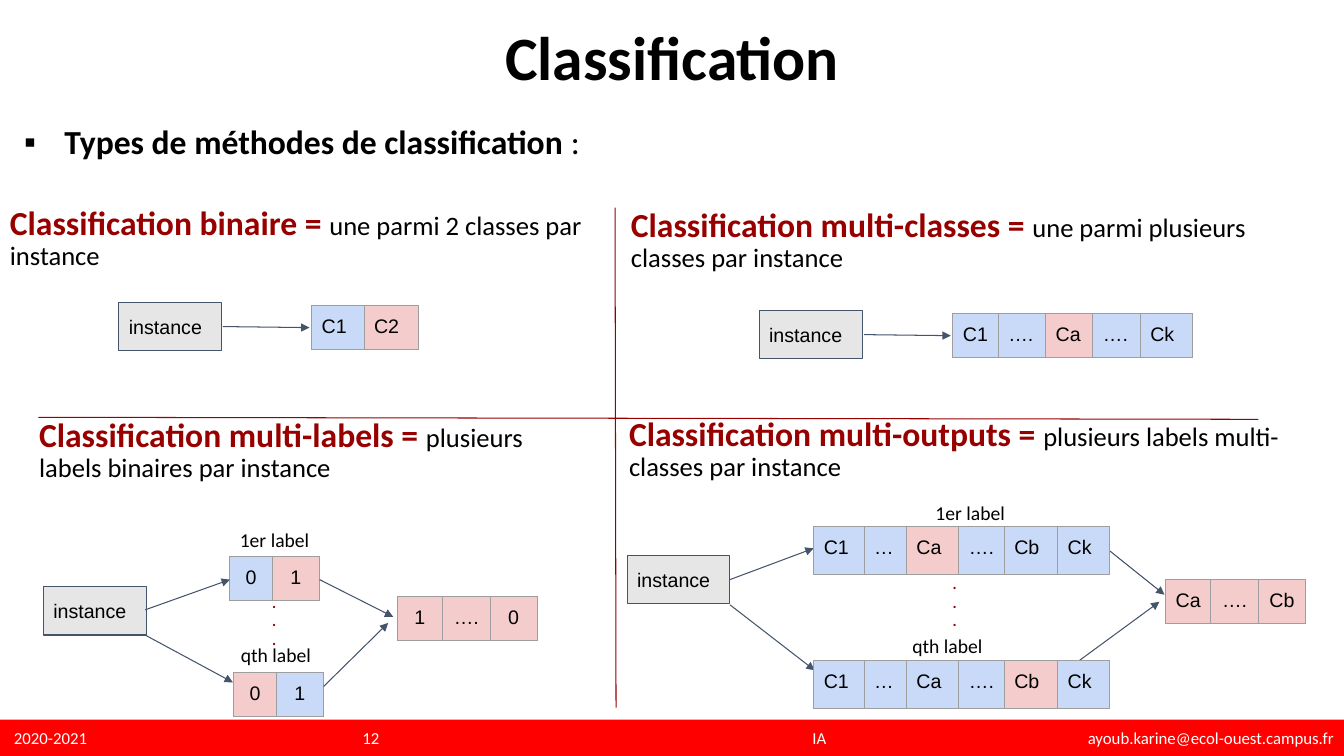
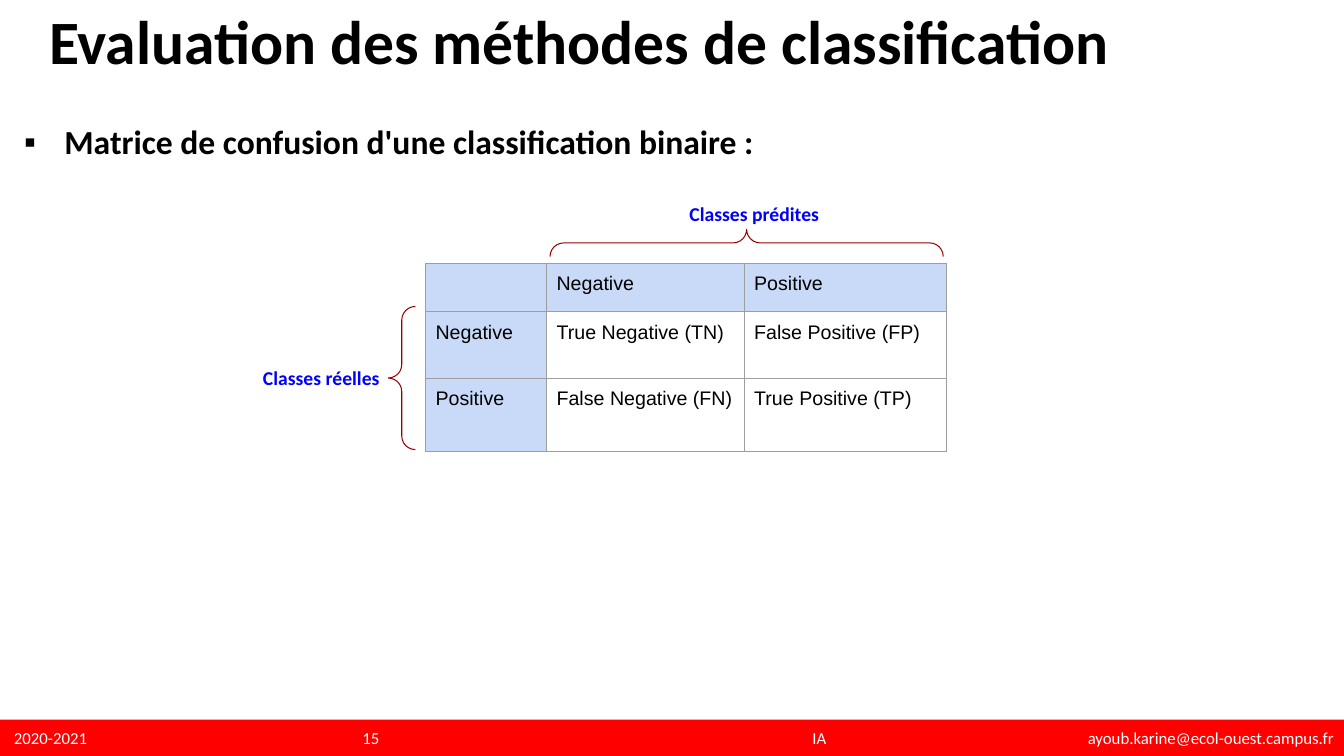
from lxml import etree
from pptx import Presentation
from pptx.dml.color import RGBColor
from pptx.enum.shapes import MSO_CONNECTOR, MSO_SHAPE
from pptx.enum.text import MSO_ANCHOR, PP_ALIGN
from pptx.oxml.ns import qn
from pptx.util import Inches, Pt

LEFT, CENTER, RIGHT = PP_ALIGN.LEFT, PP_ALIGN.CENTER, PP_ALIGN.RIGHT
TOP, MIDDLE = MSO_ANCHOR.TOP, MSO_ANCHOR.MIDDLE
RECTANGLE, BRACE = MSO_SHAPE.RECTANGLE, MSO_SHAPE.LEFT_BRACE
STRAIGHT = MSO_CONNECTOR.STRAIGHT

COLORS = {
    "black": "000000", "white": "FFFFFF", "band": "FF0000",
    "accent": "980000", "label": "0000FF", "arrow": "44546A",
    "instance": "E7E6E6", "border": "9E9E9E",
    "plain": "C9DAF8", "chosen": "F4CCCC",
}
HEADING_FONT, CELL_FONT = "Calibri", "Arial"
LINE_WIDTH = Pt(0.75)
ROW_HEIGHT = 0.42
TRIPLE = (0.45, 0.47, 0.47)
SEXTUPLE = (0.5, 0.42, 0.52, 0.45, 0.53, 0.51)
CLASSES = ("C1", "…", "Ca", "….", "Cb", "Ck")


def rgb(name):
    return RGBColor.from_string(COLORS[name])


def inches(values):
    return [Inches(value) for value in values]


def format_span(span, size, color="black", bold=False, font=HEADING_FONT):
    span.font.name = font
    span.font.size = Pt(size)
    span.font.bold = bold
    span.font.color.rgb = rgb(color)


def set_margins(frame, vertical):
    frame.margin_left = frame.margin_right = Inches(0.1)
    frame.margin_top = frame.margin_bottom = Inches(vertical)


def add_text(page, area, lines, align=LEFT, anchor=TOP, margin=0.1, spacing=None):
    box = page.shapes.add_textbox(*inches(area))
    frame = box.text_frame
    frame.word_wrap = True
    frame.vertical_anchor = anchor
    set_margins(frame, margin)
    for index, line in enumerate(lines):
        para = frame.add_paragraph() if index else frame.paragraphs[0]
        para.alignment = align
        if spacing:
            para.line_spacing = spacing
        for text, *style in line:
            span = para.add_run()
            span.text = text
            format_span(span, *style)
    return box


def add_shape(page, kind, area, fill=None, line=None):
    shape = page.shapes.add_shape(kind, *inches(area))
    shape.shadow.inherit = False
    if fill:
        shape.fill.solid()
        shape.fill.fore_color.rgb = rgb(fill)
    else:
        shape.fill.background()
    if line:
        shape.line.color.rgb = rgb(line)
        shape.line.width = LINE_WIDTH
    else:
        shape.line.fill.background()
    return shape


def add_line(page, start, end, color="arrow", arrow=True):
    line = page.shapes.add_connector(STRAIGHT, *inches(start + end))
    line.line.color.rgb = rgb(color)
    line.line.width = LINE_WIDTH
    if arrow:
        etree.SubElement(line.line._get_or_add_ln(), qn("a:tailEnd"), type="triangle")
    etree.SubElement(line._element.spPr, qn("a:effectLst"))


def add_borders(cell):
    properties = cell._tc.get_or_add_tcPr()
    for side in ("lnL", "lnR", "lnT", "lnB"):
        line = etree.SubElement(properties, qn(f"a:{side}"), w=str(LINE_WIDTH))
        fill = etree.SubElement(line, qn("a:solidFill"))
        etree.SubElement(fill, qn("a:srgbClr"), val=COLORS["border"])


def add_grid(page, corner, widths, heights, texts, fill_of, align=LEFT):
    area = (*corner, sum(widths), sum(heights))
    table = page.shapes.add_table(len(heights), len(widths), *inches(area)).table
    table.first_row = table.horz_banding = False
    for column, width in zip(table.columns, widths):
        column.width = Inches(width)
    for row, height in zip(table.rows, heights):
        row.height = Inches(height)
    for row_index, row in enumerate(texts):
        for column_index, text in enumerate(row):
            cell = table.cell(row_index, column_index)
            set_margins(cell, 0.1)
            add_borders(cell)
            fill = fill_of(row_index, column_index)
            if fill:
                cell.fill.solid()
                cell.fill.fore_color.rgb = rgb(fill)
            else:
                cell.fill.background()
            para = cell.text_frame.paragraphs[0]
            para.text = text
            para.alignment = align
            para.font.size = Pt(14)
            for span in para.runs:
                format_span(span, 14, font=CELL_FONT)


def add_vector(page, corner, widths, texts, chosen, align=LEFT, height=ROW_HEIGHT):
    add_grid(page, corner, widths, [height], [texts],
             lambda row, column: "chosen" if column in chosen else "plain", align)


def add_instance(page, left, top):
    box = add_shape(page, RECTANGLE, (left, top, 1.02, 0.48), "instance", "arrow")
    frame = box.text_frame
    frame.text = "instance"
    frame.vertical_anchor = MIDDLE
    set_margins(frame, 0.1)
    frame.paragraphs[0].alignment = LEFT
    format_span(frame.paragraphs[0].runs[0], 14, font=CELL_FONT)


def add_heading(page, area, name, meaning):
    add_text(page, area, [[(f"{name} = ", 24, "accent", True), (meaning, 19)]],
             spacing=0.9)


def add_label_names(page, first, dots, last):
    add_text(page, (*dots, 0.33, 0.63), [[(".", 11, "accent", True)]] * 3)
    add_text(page, (*first, 1.59, 0.47), [[("1er label", 14)]])
    add_text(page, (*last, 0.96, 0.47), [[("qth label", 14)]])


def add_brace(page, area, rotation=0):
    brace = add_shape(page, BRACE, area, line="accent")
    brace.adjustments[0] = brace.adjustments[1] = 0.5
    brace.rotation = rotation


def add_page(deck, title, title_corner, number, topic):
    page = deck.slides.add_slide(deck.slide_layouts[6])
    add_shape(page, RECTANGLE, (0, 7.14, 13.33, 0.36), "band")
    add_text(page, (*title_corner, 11.5, 0.99), [[(title, 44, "black", True)]],
             CENTER, MIDDLE, 0.05, 0.9)
    footers = (
        (3.24, 0.62, number, RIGHT),
        (0.04, 3, "2020-2021", LEFT),
        (7.96, 0.6, "IA", LEFT),
        (9.33, 4, "ayoub.karine@ecol-ouest.campus.fr", RIGHT),
    )
    for left, width, text, align in footers:
        add_text(page, (left, 7.14, width, 0.36), [[(text, 12, "white")]],
                 align, MIDDLE, 0.05)
    box = add_text(page, (0.04, 1.2, 12.9, 0.69), [topic], margin=0.05, spacing=0.9)
    properties = box.text_frame.paragraphs[0]._p.get_or_add_pPr()
    properties.set("marL", str(Inches(0.5)))
    properties.set("indent", str(Inches(-0.4)))
    etree.SubElement(properties, qn("a:buFont"), typeface=CELL_FONT)
    etree.SubElement(properties, qn("a:buChar"), char="▪")
    return page


def draw_single_label(page):
    add_heading(page, (0, 1.95, 5.89, 0.74), "Classification binaire",
                "une parmi 2 classes par instance")
    add_instance(page, 1.18, 3)
    add_line(page, (2.21, 3.24), (3.07, 3.25))
    add_vector(page, (3.09, 3.03), (0.52, 0.54), ("C1", "C2"), {1})

    add_heading(page, (6.16, 1.97, 6.53, 0.69), "Classification multi-classes",
                "une parmi plusieurs classes par instance")
    add_instance(page, 7.53, 3.08)
    add_line(page, (8.57, 3.32), (9.43, 3.33))
    add_vector(page, (9.45, 3.11), (0.45, 0.47, 0.47, 0.47, 0.52),
               ("C1", "….", "Ca", "….", "Ck"), {2})


def draw_multi_labels(page):
    add_heading(page, (0.29, 4.05, 5.3, 0.69), "Classification multi-labels",
                "plusieurs labels binaires par instance")
    add_instance(page, 0.43, 5.82)
    for corner, chosen in (((2.28, 5.52), {1}), ((2.32, 6.67), {0})):
        add_vector(page, corner, (0.42, 0.47), ("0", "1"), chosen, CENTER)
    add_vector(page, (3.94, 5.92), TRIPLE, ("1", "….", "0"), {0, 1, 2}, CENTER)
    add_label_names(page, (2.28, 5.14), (2.6, 5.78), (2.29, 6.28))
    for start, end in (
        ((1.44, 6.05), (2.28, 5.75)), ((1.44, 6.3), (2.31, 6.77)),
        ((3.17, 5.75), (3.9, 6.12)), ((3.21, 6.81), (3.85, 6.18)),
    ):
        add_line(page, start, end)


def draw_multi_outputs(page):
    add_heading(page, (6.14, 4.04, 6.95, 1.03), "Classification multi-outputs",
                "plusieurs labels multi-classes par instance")
    add_instance(page, 6.22, 5.51)
    add_label_names(page, (9.18, 4.87), (9.35, 5.6), (8.95, 6.19))
    for start, end in (
        ((7.24, 5.75), (8.07, 5.44)), ((7.24, 6), (8.08, 6.65)),
        ((11, 5.46), (11.55, 5.9)), ((10.45, 6.74), (11.5, 5.97)),
    ):
        add_line(page, start, end)
    for top, chosen in ((5.22, {2}), (6.55, {4})):
        add_vector(page, (8.07, top), SEXTUPLE, CLASSES, chosen, height=0.48)
    add_vector(page, (11.56, 5.75), TRIPLE, ("Ca", "….", "Cb"), {0, 1, 2}, CENTER)


def build_types(deck):
    page = add_page(deck, "Classification", (0.92, 0.11), "12",
                    [("Types de méthodes de classification ", 24, "black", True),
                     (":", 24)])
    add_line(page, (6.1, 2.06), (6.11, 7.02), "accent", False)
    add_line(page, (12.48, 4.16), (0.38, 4.14), "accent", False)
    draw_single_label(page)
    draw_multi_labels(page)
    draw_multi_outputs(page)


def build_confusion_matrix(deck):
    page = add_page(deck, "Evaluation des méthodes de classification", (0, -0.05), "15",
                    [("Matrice de confusion d'une classification binaire :",
                      24, "black", True)])
    texts = (
        ("", "Negative", "Positive"),
        ("Negative", "True Negative (TN)", "False Positive (FP)"),
        ("Positive", "False Negative (FN)", "True Positive (TP)"),
    )
    add_grid(page, (4.22, 2.61), (1.2, 1.96, 2.01), (0.48, 0.66, 0.73), texts,
             lambda row, column: None if row and column else "plain")
    add_brace(page, (3.85, 3.04, 0.27, 1.42))
    add_brace(page, (7.27, 0.46, 0.27, 3.9), 90)
    for area, text in (((2.51, 3.53, 1.5, 0.37), "Classes réelles"),
                       ((6.74, 1.9, 1.8, 0.37), "Classes prédites")):
        add_text(page, area, [[(text, 14, "label", True)]])


def main():
    deck = Presentation()
    deck.slide_width, deck.slide_height = inches((13.33, 7.5))
    build_types(deck)
    build_confusion_matrix(deck)
    deck.save("out.pptx")


if __name__ == "__main__":
    main()
